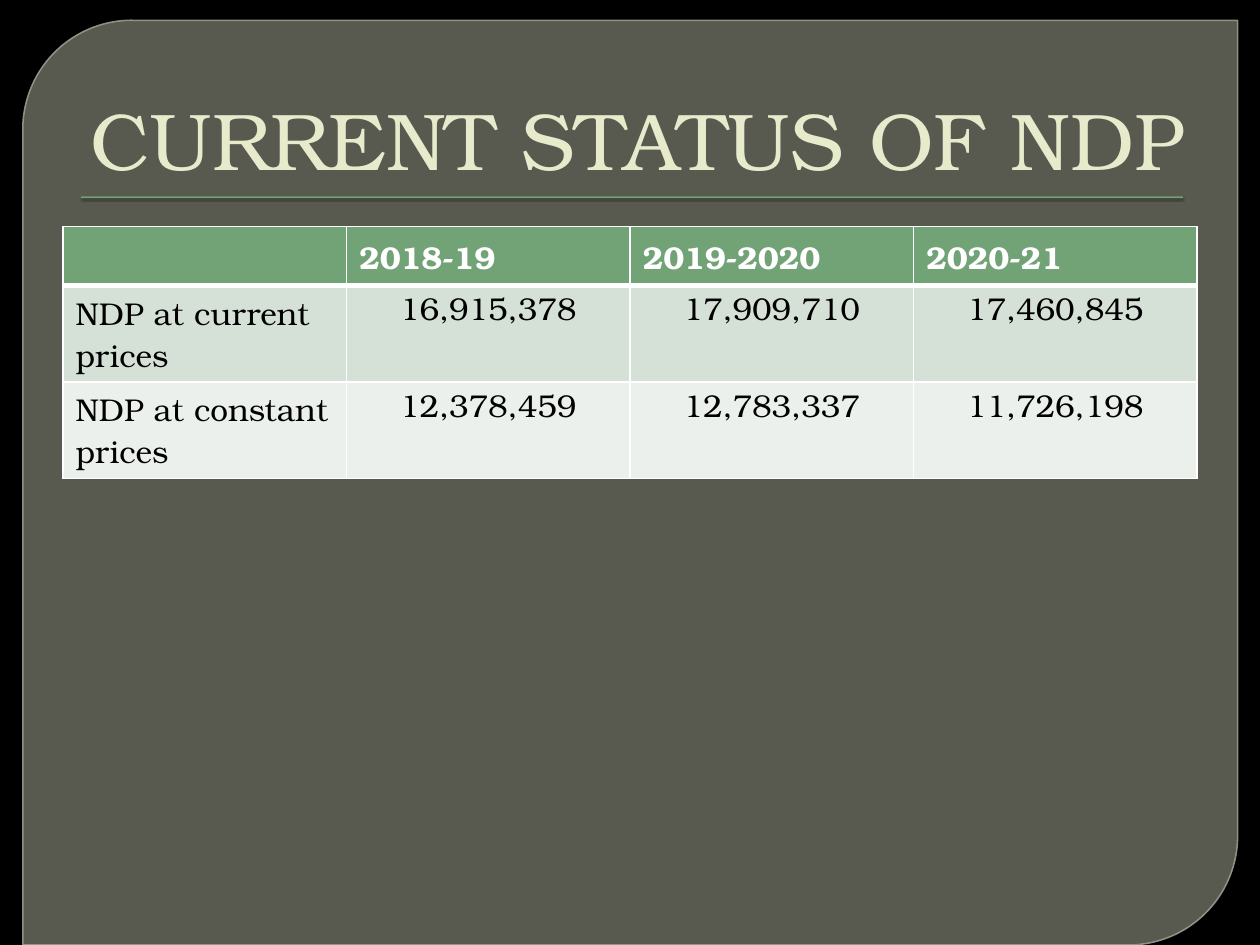
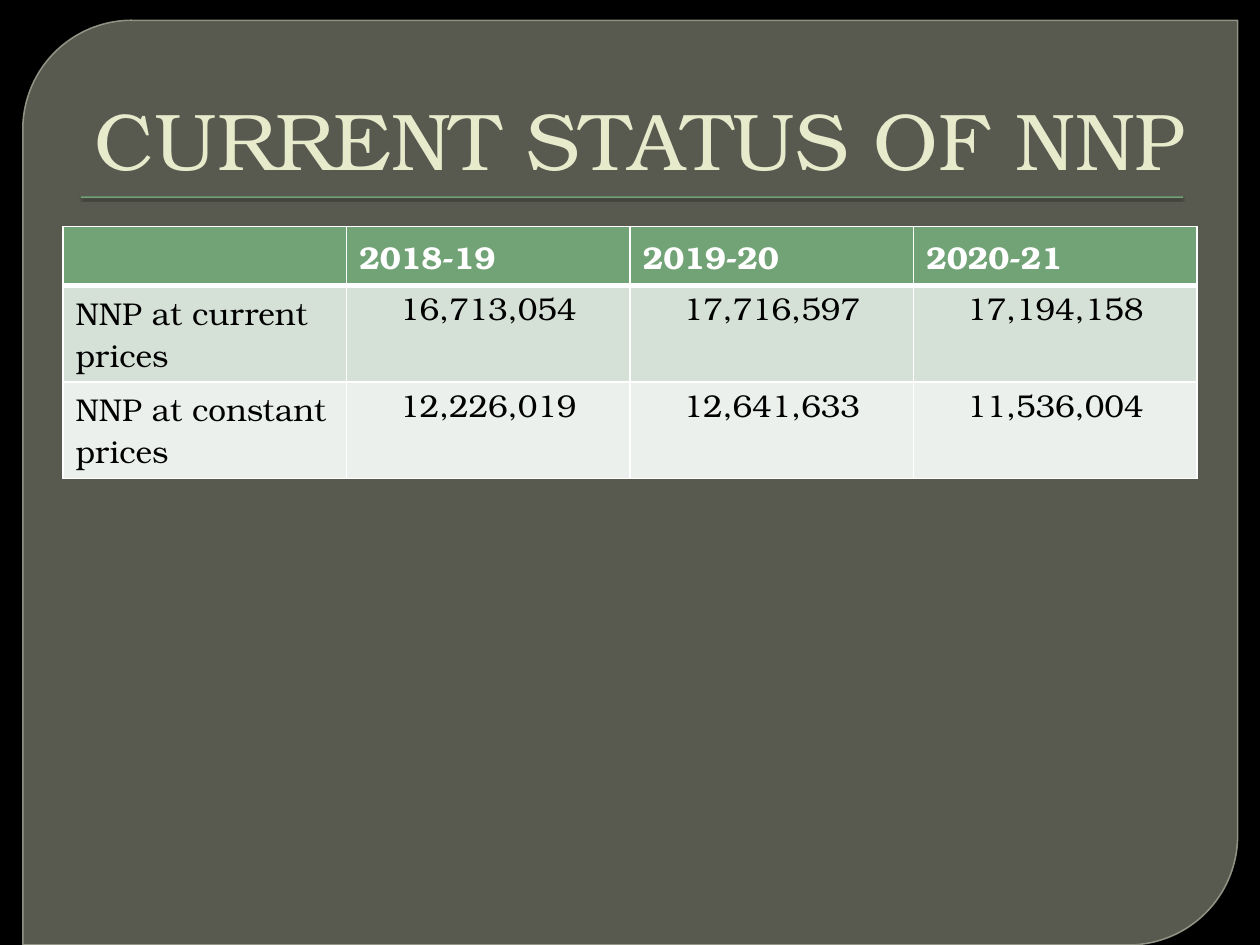
"""Build two slides that show the current status of NDP and NNP."""
from dataclasses import dataclass

from lxml import etree
from pptx import Presentation
from pptx import util as u
from pptx.dml.color import RGBColor
from pptx.enum import shapes, text
from pptx.oxml import ns


@dataclass(frozen=True)
class Theme:
    """Colours, font and type sizes shared by the slides."""
    font: str = "TeX Gyre Bonum"
    title_size: int = 46
    table_size: int = 18
    background: str = "000000"
    panel: str = "888B7B"
    panel_line: str = "9DA090"
    accent: str = "72A376"
    title: str = "E7EACB"
    header_text: str = "FFFFFF"
    body_text: str = "000000"
    border: str = "FFFFFF"
    bands: tuple = ("D5E0D6", "EBF0EC")


THEME = Theme()

STATUS = {
    "NDP": (
        ("", "2018-19", "2019-2020", "2020-21"),
        ("NDP at current prices", "16,915,378", "17,909,710", "17,460,845"),
        ("NDP at constant prices", "12,378,459", "12,783,337", "11,726,198"),
    ),
    "NNP": (
        ("", "2018-19", "2019-20", "2020-21"),
        ("NNP at current prices", "16,713,054", "17,716,597", "17,194,158"),
        ("NNP at constant prices", "12,226,019", "12,641,633", "11,536,004"),
    ),
}


def add_child(parent, tag, **attributes):
    """Append a DrawingML element and return it."""
    child = etree.SubElement(parent, ns.qn(f"a:{tag}"))
    for name, value in attributes.items():
        child.set(name, str(value))
    return child


def set_alpha(fill_element, percent):
    """Make the colour of a solid fill partly transparent."""
    colour = fill_element.find(ns.qn("a:srgbClr"))
    add_child(colour, "alpha", val=percent * 1000)


def format_font(paragraph, size, colour, bold=False):
    """Apply the theme font to every run of a paragraph."""
    for run in paragraph.runs:
        run.font.name = THEME.font
        run.font.size = u.Pt(size)
        run.font.bold = bold
        run.font.color.rgb = RGBColor.from_string(colour)


def add_block(slide, kind, left, top, width, height, colour):
    """Add a filled preset shape behind the title."""
    shape = slide.shapes.add_shape(
        kind, u.Cm(left), u.Cm(top), u.Cm(width), u.Cm(height))
    shape.shadow.inherit = False
    shape.fill.solid()
    shape.fill.fore_color.rgb = RGBColor.from_string(colour)
    shape.line.fill.background()
    slide.shapes.title.element.addprevious(shape.element)
    return shape


def add_panel(slide):
    """Add the translucent panel with two rounded corners."""
    panel = add_block(slide, shapes.MSO_SHAPE.ROUND_2_DIAG_RECTANGLE,
                      0.46, 0.41, 24.49, 18.64, THEME.panel)
    panel.adjustments[0] = 0.118
    panel.adjustments[1] = 0
    panel.line.color.rgb = RGBColor.from_string(THEME.panel_line)
    panel.line.width = u.Pt(0.87)
    properties = panel.element.spPr
    set_alpha(properties.find(ns.qn("a:solidFill")), 65)
    set_alpha(properties.find(ns.qn("a:ln")).find(ns.qn("a:solidFill")), 88)


def add_title_rule(slide):
    """Add the thin rule with a soft shadow below the title."""
    rule = add_block(slide, shapes.MSO_SHAPE.RECTANGLE,
                     1.63, 3.96, 22.22, 0.03, THEME.accent)
    effects = rule.element.spPr.find(ns.qn("a:effectLst"))
    shadow = add_child(effects, "outerShdw", blurRad=u.Pt(1), dist=u.Pt(1),
                       dir=90 * 60000, rotWithShape=0)
    colour = add_child(shadow, "srgbClr", val=THEME.background)
    add_child(colour, "alpha", val=75000)


def format_title(slide, wording):
    """Place and fill the title placeholder."""
    title = slide.shapes.title
    title.left, title.top = u.Cm(1.27), u.Cm(0.71)
    title.width, title.height = u.Cm(22.86), u.Cm(3.18)
    frame = title.text_frame
    frame.text = wording
    frame.word_wrap = True
    frame.auto_size = text.MSO_AUTO_SIZE.NONE
    frame.vertical_anchor = text.MSO_ANCHOR.BOTTOM
    paragraph = frame.paragraphs[0]
    paragraph.alignment = text.PP_ALIGN.RIGHT
    paragraph_properties = paragraph._p.get_or_add_pPr()
    paragraph_properties.set("marL", str(u.Cm(0.15)))
    paragraph_properties.set("indent", "0")
    format_font(paragraph, THEME.title_size, THEME.title)


def set_borders(cell, top, bottom):
    """Draw the four cell borders, with top and bottom widths in points."""
    properties = cell._tc.get_or_add_tcPr()
    for side, width in (("L", 1), ("R", 1), ("T", top), ("B", bottom)):
        line = add_child(properties, f"ln{side}", w=u.Pt(width))
        add_child(add_child(line, "solidFill"), "srgbClr", val=THEME.border)


def format_cell(cell, row, column):
    """Style a cell by its place in the table."""
    is_header = row == 0
    set_borders(cell, 3 if row == 1 else 1, 3 if is_header else 1)
    cell.fill.solid()
    fill = THEME.accent if is_header else THEME.bands[row - 1]
    cell.fill.fore_color.rgb = RGBColor.from_string(fill)
    paragraph = cell.text_frame.paragraphs[0]
    colour = THEME.header_text if is_header else THEME.body_text
    format_font(paragraph, THEME.table_size, colour, is_header)
    if not is_header and column > 0:
        paragraph.alignment = text.PP_ALIGN.CENTER
        cell.margin_left = cell.margin_right = cell.margin_top = u.Cm(0.03)
        cell.margin_bottom = 0


def add_status_table(slide, rows):
    """Add the table of prices by year."""
    row_height = u.Cm(1.04)
    table = slide.shapes.add_table(
        len(rows), len(rows[0]), u.Cm(1.27), u.Cm(4.57),
        u.Cm(22.86), row_height * len(rows)).table
    for row, values in enumerate(rows):
        for column, value in enumerate(values):
            cell = table.cell(row, column)
            if value:
                cell.text_frame.text = value
            format_cell(cell, row, column)


def add_status_slide(presentation, measure, rows):
    """Add one slide for a measure of national product."""
    slide = presentation.slides.add_slide(presentation.slide_layouts[5])
    add_panel(slide)
    add_title_rule(slide)
    format_title(slide, f"CURRENT STATUS OF {measure}")
    add_status_table(slide, rows)


def main():
    """Build and save the presentation."""
    presentation = Presentation()
    presentation.slide_width = u.Cm(25.4)
    presentation.slide_height = u.Cm(19.05)
    background = presentation.slide_master.background.fill
    background.solid()
    background.fore_color.rgb = RGBColor.from_string(THEME.background)
    for measure, rows in STATUS.items():
        add_status_slide(presentation, measure, rows)
    presentation.save("out.pptx")


if __name__ == "__main__":
    main()
